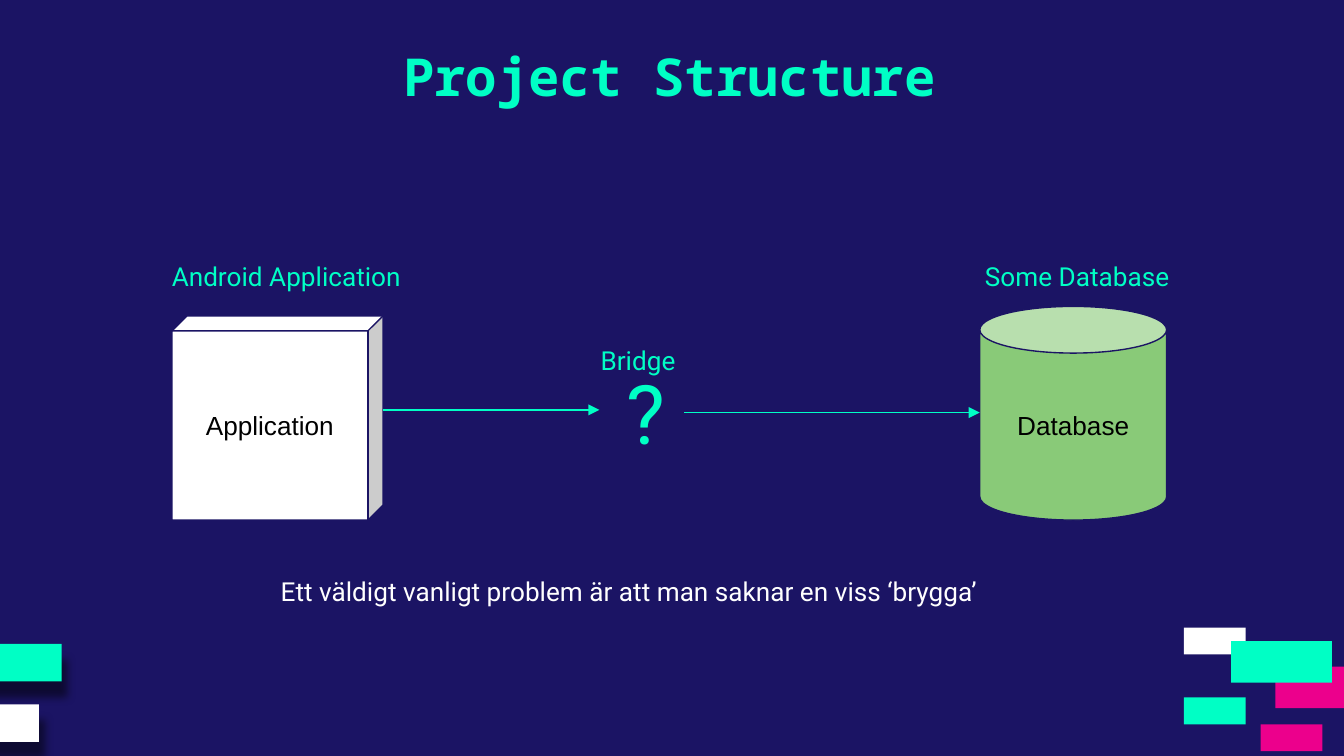
"""Build the Project Structure slide: an application, a missing bridge and a database."""
from lxml import etree
from pptx import Presentation
from pptx.dml.color import RGBColor
from pptx.enum.shapes import MSO_CONNECTOR, MSO_SHAPE
from pptx.enum.text import MSO_ANCHOR, MSO_AUTO_SIZE, PP_ALIGN
from pptx.oxml.ns import qn
from pptx.util import Inches, Pt

RECT, CAN, CUBE = MSO_SHAPE.RECTANGLE, MSO_SHAPE.CAN, MSO_SHAPE.CUBE
STRAIGHT = MSO_CONNECTOR.STRAIGHT
TOP, MIDDLE = MSO_ANCHOR.TOP, MSO_ANCHOR.MIDDLE
LEFT, CENTER = PP_ALIGN.LEFT, PP_ALIGN.CENTER
GROW, FIXED = MSO_AUTO_SIZE.SHAPE_TO_FIT_TEXT, MSO_AUTO_SIZE.NONE

THEME = {
    "navy": "1B1464", "mint": "00FFC5", "pink": "EC008C", "white": "FFFFFF",
    "green": "89CA78", "black": "000000",
    "title_font": "Noto Sans Mono", "label_font": "Roboto", "node_font": "Arial",
    "title": 28, "body": 14, "mark": 44, "line": 0.75,
}

SLIDE_WIDTH = Inches(10)
SLIDE_HEIGHT = SLIDE_WIDTH * 9 // 16

TITLE = ("Project Structure", (2.74, 0.23, 4.48, 0.73))
SMALL, LARGE, SHADED = (0.46, 0.2), (0.75, 0.31), (0.73, 0.28)
DECOR = [
    ((-0.27, 4.79), SHADED, "mint"),
    ((-0.44, 5.24), SHADED, "white"),
    ((9.49, 4.96), LARGE, "pink"),
    ((8.81, 4.67), SMALL, "white"),
    ((8.81, 5.19), SMALL, "mint"),
    ((9.38, 5.39), SMALL, "pink"),
    ((9.16, 4.77), LARGE, "mint"),
]
NODES = [
    ("Database", CAN, 0.25, (7.29, 2.28, 1.39, 1.59), "green"),
    ("Application", CUBE, 0.074, (1.28, 2.35, 1.57, 1.52), "white"),
]
ARROWS = [(2.85, 4.46, 3.05), (5.09, 7.29, 3.07)]
LABELS = [
    ("?", (4.56, 2.6, 0.53, 0.94), "mark", "mint"),
    ("Android Application", (1.18, 1.84, 2.04, 0.67), "body", "mint"),
    ("Some Database", (7.23, 1.84, 2.04, 0.44), "body", "mint"),
    ("Bridge", (4.37, 2.46, 1.39, 0.44), "body", "mint"),
    ("Ett väldigt vanligt problem är att man saknar en viss ‘brygga’",
     (1.99, 4.18, 5.61, 0.67), "body", "white"),
]


def color(name):
    return RGBColor.from_string(THEME[name])


def inches(values):
    return [Inches(value) for value in values]


def write(holder, text, *, font, size="body", ink="mint", bold=False,
          align=LEFT, anchor=TOP, fit=FIXED):
    frame = holder.text_frame
    frame.word_wrap = True
    frame.auto_size = fit
    frame.vertical_anchor = anchor
    frame.margin_left = frame.margin_right = Inches(0.1)
    frame.margin_top = frame.margin_bottom = Inches(0.1)
    paragraph = frame.paragraphs[0]
    paragraph.alignment = align
    run = paragraph.add_run()
    run.text = text
    run.font.name = THEME[font]
    run.font.size = Pt(THEME[size])
    run.font.bold = bold
    run.font.color.rgb = color(ink)


def add_block(slide, kind, box, fill):
    block = slide.shapes.add_shape(kind, *inches(box))
    block.shadow.inherit = False
    block.fill.solid()
    block.fill.fore_color.rgb = color(fill)
    block.line.fill.background()
    return block


def add_shadow(block):
    effects = block._element.spPr.find(qn("a:effectLst"))
    shadow = etree.SubElement(effects, qn("a:outerShdw"), blurRad=str(Pt(4.5)),
                              dist=str(Pt(9)), dir=str(70 * 60000),
                              algn="bl", rotWithShape="0")
    shade = etree.SubElement(shadow, qn("a:srgbClr"), val=THEME["black"])
    etree.SubElement(shade, qn("a:alpha"), val="50000")


def add_arrow(slide, start, end, y):
    arrow = slide.shapes.add_connector(STRAIGHT, *inches((start, y, end, y)))
    arrow.line.color.rgb = color("mint")
    arrow.line.width = Pt(THEME["line"])
    etree.SubElement(arrow.line._get_or_add_ln(), qn("a:tailEnd"), type="triangle")
    etree.SubElement(arrow._element.spPr, qn("a:effectLst"))


def main():
    deck = Presentation()
    deck.slide_width, deck.slide_height = SLIDE_WIDTH, SLIDE_HEIGHT
    slide = deck.slides.add_slide(deck.slide_layouts[5])
    slide.background.fill.solid()
    slide.background.fill.fore_color.rgb = color("navy")

    heading, heading_box = TITLE
    title = slide.shapes.title
    title.left, title.top, title.width, title.height = inches(heading_box)
    write(title, heading, font="title_font", size="title", bold=True, align=CENTER)

    for corner, size, fill in DECOR:
        block = add_block(slide, RECT, corner + size, fill)
        if size == SHADED:
            add_shadow(block)

    for name, kind, depth, box, fill in NODES:
        node = add_block(slide, kind, box, fill)
        node.adjustments[0] = depth
        node.line.color.rgb = color("navy")
        node.line.width = Pt(THEME["line"])
        write(node, name, font="node_font", ink="black", align=CENTER, anchor=MIDDLE)

    for start, end, y in ARROWS:
        add_arrow(slide, start, end, y)

    for text, box, size, ink in LABELS:
        label = slide.shapes.add_textbox(*inches(box))
        write(label, text, font="label_font", size=size, ink=ink, fit=GROW)

    deck.save("out.pptx")


if __name__ == "__main__":
    main()
